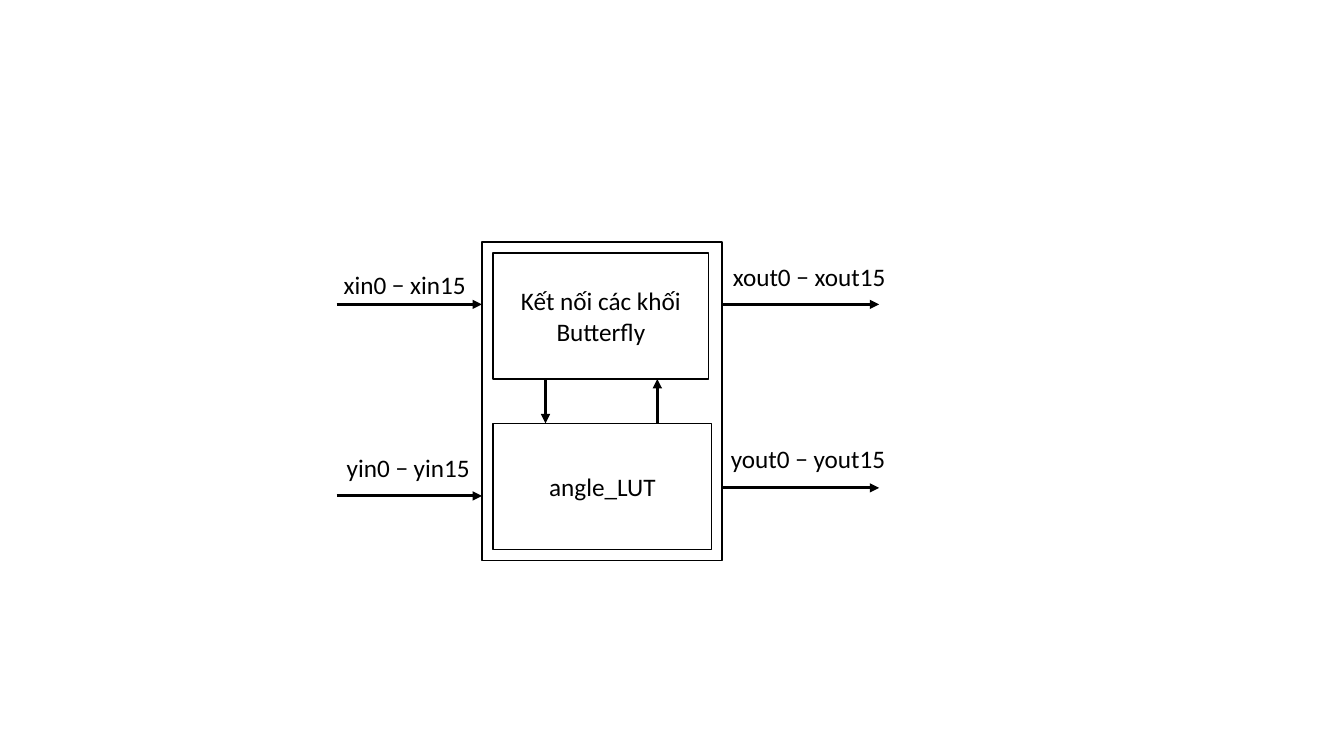
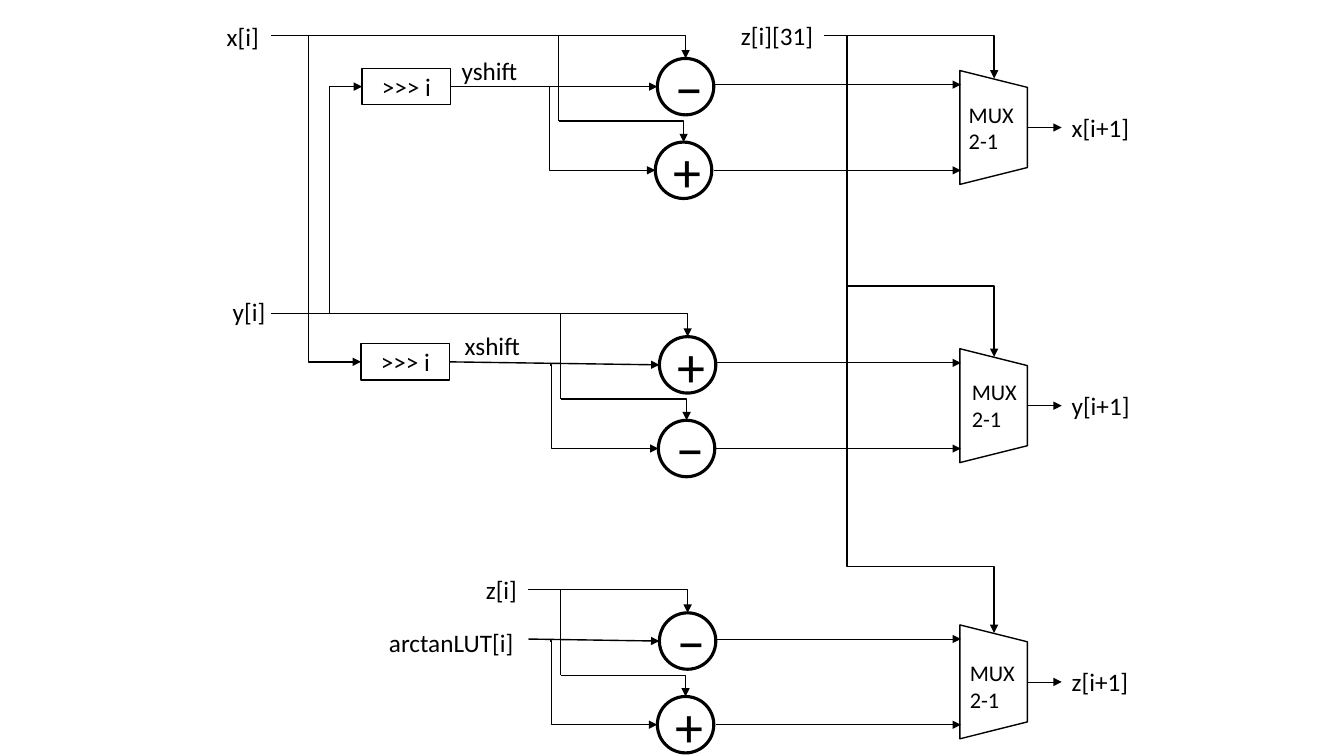
from lxml.etree import SubElement
from pptx import Presentation
from pptx.dml.color import RGBColor
from pptx.enum.shapes import MSO_CONNECTOR as CONNECTOR, MSO_SHAPE as SHAPE
from pptx.enum.text import MSO_ANCHOR as ANCHOR, PP_ALIGN as ALIGN
from pptx.oxml.ns import qn
from pptx.util import Inches, Pt

INK, PAPER = "000000", "FFFFFF"
FONT = "Calibri"
BLANK_LAYOUT = 6
THIN, NORMAL, THICK = 0.5, 1, 2.25


def color(hex_text):
    return RGBColor.from_string(hex_text)


def write(frame, text, size):
    frame.word_wrap = True
    frame.text = text
    for run in frame.paragraphs[0].runs:
        run.font.name = FONT
        run.font.size = Pt(size)
        run.font.color.rgb = color(INK)


def add_block(slide, kind, left, top, width, height, text="", size=18, weight=NORMAL):
    """White outlined shape with centred text."""
    block = slide.shapes.add_shape(
        kind, Inches(left), Inches(top), Inches(width), Inches(height))
    block.shadow.inherit = False
    block.fill.solid()
    block.fill.fore_color.rgb = color(PAPER)
    block.line.color.rgb = color(INK)
    block.line.width = Pt(weight)
    if text:
        write(block.text_frame, text, size)
        block.text_frame.vertical_anchor = ANCHOR.MIDDLE
        block.text_frame.paragraphs[0].alignment = ALIGN.CENTER
    return block


def add_label(slide, text, left, top, width, height=0.4, size=18):
    label = slide.shapes.add_textbox(
        Inches(left), Inches(top), Inches(width), Inches(height))
    write(label.text_frame, text, size)


def add_wire(slide, start, end, weight=NORMAL, arrow=True, kind=CONNECTOR.STRAIGHT):
    wire = slide.shapes.add_connector(
        kind, *(Inches(value) for value in (*start, *end)))
    wire.line.color.rgb = color(INK)
    wire.line.width = Pt(weight)
    properties = wire._element.spPr
    if arrow:
        SubElement(properties.find(qn("a:ln")), qn("a:tailEnd"), type="triangle")
    SubElement(properties, qn("a:effectLst"))
    return wire


def add_bend(slide, start, end, target, site, vertical_first=False, turn=None):
    """Elbow wire joined to a site of target.

    It has one corner, or two with the first leg ending at the share turn.
    """
    bend = add_wire(slide, start, end, kind=CONNECTOR.ELBOW)
    bend.end_connect(target, site)

    # Box of the route; a vertical first leg needs the turned box
    (x1, y1), (x2, y2) = start, end
    width, height = abs(x2 - x1), abs(y2 - y1)
    if vertical_first:
        width, height = height, width
    bend.left = Inches((x1 + x2 - width) / 2)
    bend.top = Inches((y1 + y2 - height) / 2)
    bend.width, bend.height = Inches(width), Inches(height)
    properties = bend._element.spPr
    frame = properties.find(qn("a:xfrm"))
    upward = y2 < y1
    quarter_turns = (1 if upward else 3) if vertical_first else 0
    frame.set("rot", str(quarter_turns * 90 * 60000))
    frame.set("flipH", str(int(vertical_first)))
    frame.set("flipV", str(int(upward)))

    geometry = properties.find(qn("a:prstGeom"))
    if turn is None:
        geometry.set("prst", "bentConnector2")
    else:
        SubElement(geometry.find(qn("a:avLst")), qn("a:gd"), name="adj1",
                   fmla=f"val {round(turn * 100000)}")


# Slide 1: top-level block with its ports

def draw_overview(slide, left, top, width, height):
    add_block(slide, SHAPE.RECTANGLE, left, top, width, height)
    inner_left, inner_height = left + 0.11, 1.25
    butterfly_top, table_top = top + 0.11, top + 1.8
    add_block(slide, SHAPE.RECTANGLE, inner_left, butterfly_top, 2.14, inner_height,
              "Kết nối các khối Butterfly")
    add_block(slide, SHAPE.RECTANGLE, inner_left, table_top, 2.17, inner_height,
              "angle_LUT")

    # Exchange between the two inner blocks
    butterfly_bottom = butterfly_top + inner_height
    request_x, reply_x = left + 0.63, left + 1.74
    add_wire(slide, (request_x, butterfly_bottom), (request_x, table_top), THICK)
    add_wire(slide, (reply_x, table_top), (reply_x, butterfly_bottom), THICK)

    # Ports: name, label left and top, wire start, length and height
    right = left + width
    ports = [
        ("xin0 − xin15", left - 1.47, 0.22, left - 1.44, 1.44, 0.62),
        ("yin0 − yin15", left - 1.44, 2.04, left - 1.44, 1.44, 2.52),
        ("xout0 − xout15", right + 0.01, 0.14, right, 1.56, 0.62),
        ("yout0 − yout15", right - 0.01, 1.95, right, 1.56, 2.44),
    ]
    for name, label_left, label_top, start, length, wire_y in ports:
        add_label(slide, name, label_left, top + label_top, 1.75)
        add_wire(slide, (start, top + wire_y), (start + length, top + wire_y), THICK)


# Slide 2: one stage of the iteration

CIRCLE = 0.56
MUX_LEFT, MUX_WIDTH, MUX_HEIGHT = 9.52, 0.67, 1.13


def draw_mux(slide, top, output, caption_left, caption_top):
    """Multiplexer with its output, in a box starting at MUX_LEFT and top."""
    inset = (MUX_HEIGHT - MUX_WIDTH) / 2
    mux = add_block(slide, SHAPE.TRAPEZOID, MUX_LEFT - inset, top + inset,
                    MUX_HEIGHT, MUX_WIDTH)
    mux.rotation = 90
    add_label(slide, "MUX 2-1", caption_left, caption_top, 0.84, 0.64, 16)
    middle, right = top + MUX_HEIGHT / 2, MUX_LEFT + MUX_WIDTH
    add_wire(slide, (right, middle), (right + 0.34, middle), THIN)
    add_label(slide, output, right + 0.34, middle - 0.2, 0.81)
    return mux


def draw_stage(slide, left, top, signs, bus_start, lower_shift):
    """Two operators at left and top, with their input and output wires."""
    radius = CIRCLE / 2
    bus_y, second_y, tap_y = top - 0.23, top + radius, top + 0.62
    lower_left, lower_top = left - lower_shift, top + 0.83
    bus_tap, second_tap = left - 0.98, left - 1.08
    upper, lower = (
        add_block(slide, SHAPE.OVAL, x, y, CIRCLE, CIRCLE, sign, 40, THICK)
        for sign, x, y in zip(signs, (left, lower_left), (top, lower_top)))
    # Results to the multiplexer
    for result_y in (top + 0.26, top + 1.11):
        add_wire(slide, (left + CIRCLE, result_y), (MUX_LEFT + 0.01, result_y), THIN)
    # First operand enters both operators from above
    add_bend(slide, (bus_start, bus_y), (left + radius, top), upper, 0)
    add_wire(slide, (bus_tap, bus_y), (bus_tap, tap_y), arrow=False)
    add_bend(slide, (bus_tap, tap_y), (lower_left + radius, lower_top), lower, 0)
    # Second operand enters the lower operator at its left site
    add_bend(slide, (second_tap, second_y), (lower_left, lower_top + radius),
             lower, 2, turn=0.01)


def draw_shift(slide, left, middle, target, name, label_left, source):
    """Shifter fed by a wire from source and leading to target."""
    width, height = 0.88, 0.36
    shifter = add_block(slide, SHAPE.RECTANGLE, left, middle - height / 2,
                        width, height, ">>> i")
    add_bend(slide, source, (left, middle), shifter, 1, vertical_first=True)
    result = add_wire(slide, (left + width, middle), target)
    result.begin_connect(shifter, 3)
    add_label(slide, name, label_left, middle - 0.36, 0.81)


def draw_select(slide, left, top, muxes, mux_tops):
    """Sign bit z[i][31] selecting all multiplexers."""
    add_label(slide, "z[i][31]", left - 0.92, top - 0.2, 0.95)
    trunk_x = left + 0.23
    ends = [(9.86, mux_top + 0.08) for mux_top in mux_tops]
    add_bend(slide, (left, top), ends[0], muxes[0], 1)
    branches = [(top, 0.78), (top + 2.45, 0.81)]
    for mux, end, (start_y, turn) in zip(muxes[1:], ends[1:], branches):
        add_bend(slide, (trunk_x, start_y), end, mux, 1,
                 vertical_first=True, turn=turn)


def draw_iteration(slide):
    # Output, operator signs, operator left and top, bus start, lower shift,
    # multiplexer caption left and top
    stages = [
        ("x[i+1]", "−+", 6.52, 0.58, 2.69, 0.02, 9.51, 0.95),
        ("y[i+1]", "+−", 6.54, 3.34, 2.69, 0.01, 9.54, 3.7),
        ("z[i+1]", "−+", 6.54, 6.08, 5.24, 0.02, 9.52, 6.49),
    ]
    muxes, mux_tops = [], []
    for output, signs, left, top, bus_start, shift, caption_left, caption_top in stages:
        mux_tops.append(top + 0.12)
        muxes.append(draw_mux(slide, mux_tops[-1], output, caption_left, caption_top))
        draw_stage(slide, left, top, signs, bus_start, shift)
    draw_select(slide, 8.17, 0.35, muxes, mux_tops)

    # Cross-coupled shifters and the angle input
    draw_shift(slide, 3.59, 0.86, (6.52, 0.86), "yshift", 4.48, (3.27, 3.11))
    draw_shift(slide, 3.58, 3.59, (6.54, 3.62), "xshift", 4.51, (3.06, 0.35))
    add_wire(slide, (5.24, 6.34), (6.54, 6.36))

    # Input names
    for name, left, top, width in [("x[i]", 2.15, 0.16, 0.58), ("y[i]", 2.21, 2.89, 0.58),
                                   ("z[i]", 4.72, 5.65, 0.55),
                                   ("arctanLUT[i]", 3.76, 6.17, 1.5)]:
        add_label(slide, name, left, top, width)


def main():
    deck = Presentation()
    deck.slide_width, deck.slide_height = Inches(13.33), Inches(7.5)
    layout = deck.slide_layouts[BLANK_LAYOUT]
    draw_overview(deck.slides.add_slide(layout), 4.78, 2.4, 2.38, 3.16)
    draw_iteration(deck.slides.add_slide(layout))
    deck.save("out.pptx")


if __name__ == "__main__":
    main()
